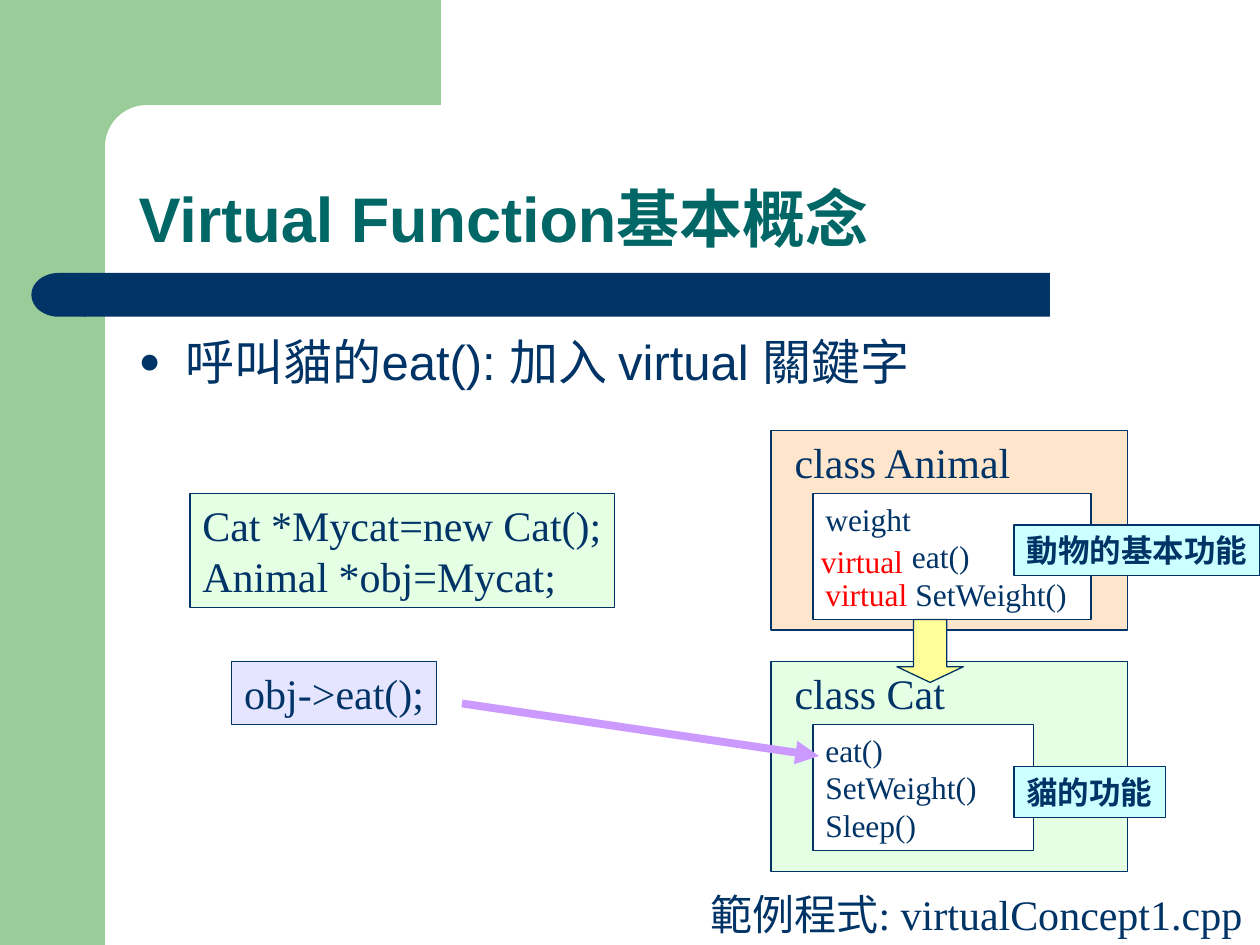
from lxml.etree import SubElement
from pptx import Presentation
from pptx.dml.color import RGBColor
from pptx.enum.shapes import MSO_CONNECTOR, MSO_SHAPE as Kind
from pptx.enum.text import MSO_ANCHOR as Anchor, MSO_AUTO_SIZE as AutoSize, PP_ALIGN as Align
from pptx.oxml.ns import qn
from pptx.util import Pt

NAVY, GREEN, RED, WHITE = "003366", "99CC99", "FF0000", "FFFFFF"
color_of = RGBColor.from_string

deck = Presentation()
deck.slide_width, deck.slide_height = Pt(720), Pt(540)
page = deck.slides.add_slide(deck.slide_layouts[1])
shapes = page.shapes


def write(shape, lines, size=24, font="Times New Roman", color=NAVY, bold=False,
          wrap=False, anchor=Anchor.TOP):
    frame = shape.text_frame
    frame.auto_size = AutoSize.NONE
    frame.word_wrap = wrap
    frame.vertical_anchor = anchor
    for index, line in enumerate(lines):
        para = frame.add_paragraph() if index else frame.paragraphs[0]
        para.alignment = Align.LEFT
        for text, span_color in [(line, color)] if isinstance(line, str) else line:
            span = para.add_run()
            span.text = text
            span.font.name, span.font.size, span.font.bold = font, Pt(size), bold
            span.font.color.rgb = color_of(span_color)
    return frame.paragraphs


def draw(kind, left, top, width, height, fill, line=NAVY, alpha=None):
    shape = shapes.add_shape(kind, Pt(left), Pt(top), Pt(width), Pt(height))
    shape.shadow.inherit = False
    shape.fill.solid()
    shape.fill.fore_color.rgb = color_of(fill)
    if alpha:
        fill_color = shape.fill._xPr.find(qn("a:solidFill"))[0]
        SubElement(fill_color, qn("a:alpha"), val=str(alpha * 1000))
    if line:
        shape.line.color.rgb = color_of(line)
        shape.line.width = Pt(0.75)
    else:
        shape.line.fill.background()
    return shape


draw(Kind.RECTANGLE, 0, 0, 60, 540, GREEN, None)
draw(Kind.RECTANGLE, 54, 0, 198, 84, GREEN, None)
draw(Kind.ROUNDED_RECTANGLE, 60, 60, 402, 48, WHITE, None).adjustments[0] = 0.5
draw(Kind.RECTANGLE, 48, 156, 552, 25, NAVY, None)
bar_end = draw(Kind.FLOWCHART_DELAY, 18, 156, 31, 25, NAVY, None)
bar_end._element.spPr.find(qn("a:xfrm")).set("flipH", "1")

title, body = shapes.title, page.placeholders[1]
for holder, top, height in [(title, 60, 90), (body, 186, 294)]:
    holder.left, holder.top, holder.width, holder.height = Pt(72), Pt(top), Pt(630), Pt(height)
    shapes._spTree.append(holder._element)
heading = write(title, ["Virtual Function基本概念"], size=36, font="Arial", color="006666",
                bold=True, wrap=True, anchor=Anchor.BOTTOM)[0]
heading.line_spacing = 0.9
item = write(body, ["呼叫貓的eat(): 加入 virtual 關鍵字"], size=28, font="Arial", wrap=True)[0]
item.space_before = Pt(7)
bullet = item._p.get_or_add_pPr()
bullet.set("marL", str(Pt(27)))
bullet.set("indent", str(-Pt(27)))
SubElement(SubElement(bullet, qn("a:buClr")), qn("a:srgbClr"), val=NAVY)
SubElement(bullet, qn("a:buSzPct"), val="75000")
SubElement(bullet, qn("a:buFont"), typeface="Arial")
SubElement(bullet, qn("a:buChar"), char="●")

classes = [
    ("class Animal", 246, 114, "FFCC99", 159, 139,
     ["weight", "eat()", [("virtual", RED), (" SetWeight()", NAVY)]]),
    ("class Cat", 378, 120, "CCFFCC", 126, 100, ["eat()", "SetWeight()", "Sleep()"]),
]
member_lists = []
for name, top, height, fill, member_width, name_width, members in classes:
    draw(Kind.RECTANGLE, 440.5, top, 204, height, fill, alpha=50)
    write(shapes.add_textbox(Pt(447), Pt(top), Pt(name_width), Pt(36)), [name])
    member_box = draw(Kind.RECTANGLE, 464.5, top + 36, member_width, 72, WHITE)
    member_lists.append(write(member_box, members, size=18, wrap=True))
member_lists[0][1]._p.get_or_add_pPr().set("marL", str(Pt(49.5)))

for text, top, width in [("動物的基本功能", 300, 140.5), ("貓的功能", 438, 86.5)]:
    label = draw(Kind.RECTANGLE, 579.5, top, width, 29, "CCFFFF")
    write(label, [text], size=18, bold=True)

inherit_arrow = draw(Kind.DOWN_ARROW, 512.5, 354, 38, 36, "FFFF99")
inherit_arrow.adjustments[0], inherit_arrow.adjustments[1] = 0.5, 0.25

write(draw(Kind.RECTANGLE, 108.5, 282, 242.5, 65, "CCFFCC", alpha=50),
      ["Cat *Mycat=new Cat();", "Animal *obj=Mycat;"])
write(draw(Kind.RECTANGLE, 132.5, 378, 117, 36, "CCCCFF", alpha=50), ["obj->eat();"])

call_arrow = shapes.add_connector(MSO_CONNECTOR.STRAIGHT, Pt(264), Pt(402), Pt(468), Pt(432))
call_arrow.line.color.rgb = color_of("CC99FF")
call_arrow.line.width = Pt(4.5)
SubElement(call_arrow.line._get_or_add_ln(), qn("a:tailEnd"), type="triangle")
SubElement(call_arrow._element.spPr, qn("a:effectLst"))

write(shapes.add_textbox(Pt(399), Pt(504), Pt(324), Pt(36)), ["範例程式: virtualConcept1.cpp"])
write(shapes.add_textbox(Pt(462), Pt(306), Pt(65.5), Pt(29)), ["virtual"], size=18, color=RED)

deck.save("out.pptx")
